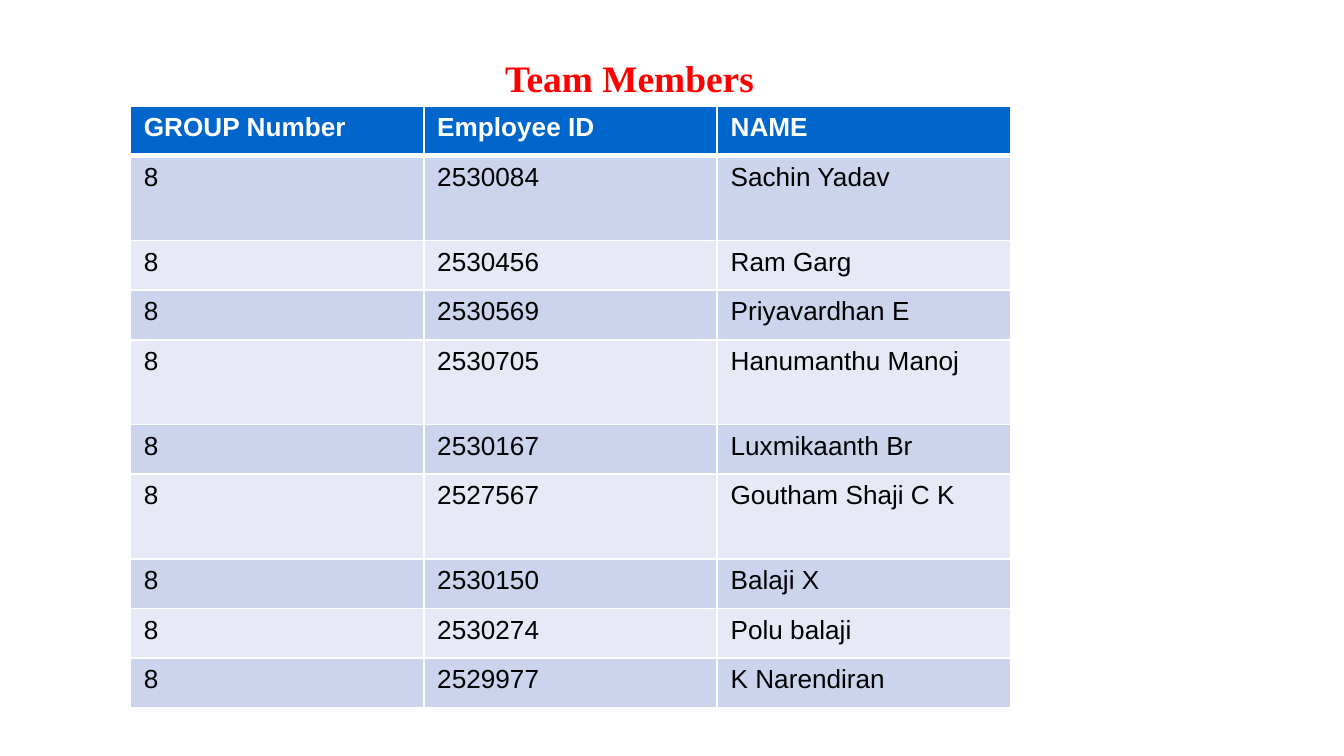
from lxml import etree
from pptx import Presentation
from pptx.dml.color import RGBColor
from pptx.oxml.ns import qn
from pptx.util import Inches, Pt

TITLE = "Team Members"
HEADER = ("GROUP Number", "Employee ID", "NAME")
GROUP = "8"
# Employee ID, name, row is tall
MEMBERS = [
    ("2530084", "Sachin Yadav", True),
    ("2530456", "Ram Garg", False),
    ("2530569", "Priyavardhan E", False),
    ("2530705", "Hanumanthu Manoj", True),
    ("2530167", "Luxmikaanth Br", False),
    ("2527567", "Goutham Shaji C K", True),
    ("2530150", "Balaji X", False),
    ("2530274", "Polu balaji", False),
    ("2529977", "K Narendiran", False),
]
WHITE, BLACK, RED = "FFFFFF", "000000", "FF0000"
HEADER_FILL, BANDS = "0066CC", ("CCD3EC", "E7EAF6")
SLIDE_W = 10
SLIDE_H = SLIDE_W * 9 / 16
LEFT, TOP, WIDTH = 0.97, 0.79, 6.55
ROW, TALL_ROW = 0.37, 0.63


def rgb(color):
    return RGBColor.from_string(color)


def write(tf, text, size=14, font="Arial", color=BLACK, bold=False):
    r = tf.paragraphs[0].add_run()
    r.text = text
    r.font.size, r.font.name, r.font.bold = Pt(size), font, bold
    r.font.color.rgb = rgb(color)


def set_borders(cell, top=1, bottom=1):
    """White cell edges, widths in points; they must precede the fill."""
    tc_pr = cell._tc.get_or_add_tcPr()
    edges = (("L", 1), ("R", 1), ("T", top), ("B", bottom))
    for i, (side, width) in enumerate(edges):
        ln = etree.Element(qn(f"a:ln{side}"), w=str(Pt(width)))
        fill = etree.SubElement(ln, qn("a:solidFill"))
        etree.SubElement(fill, qn("a:srgbClr"), val=WHITE)
        tc_pr.insert(i, ln)


def add_title(s):
    box = s.shapes.add_textbox(Inches(3.66), Inches(0.36), Inches(4.69), Inches(0.44))
    box.text_frame.word_wrap = True
    write(box.text_frame, TITLE, size=20, font="Times New Roman", color=RED, bold=True)


def add_members(s):
    rows = [HEADER] + [(GROUP, number, name) for number, name, _ in MEMBERS]
    heights = [ROW] + [TALL_ROW if tall else ROW for *_, tall in MEMBERS]
    table = s.shapes.add_table(len(rows), len(HEADER), Inches(LEFT), Inches(TOP),
                               Inches(WIDTH), Inches(sum(heights))).table
    for column in table.columns:
        column.width = Inches(WIDTH / len(HEADER))
    for i, (texts, height) in enumerate(zip(rows, heights)):
        table.rows[i].height = Inches(height)
        head = i == 0
        for j, text in enumerate(texts):
            cell = table.cell(i, j)
            cell.fill.solid()
            cell.fill.fore_color.rgb = rgb(HEADER_FILL if head else BANDS[(i - 1) % 2])
            set_borders(cell, top=3 if i == 1 else 1, bottom=3 if head else 1)
            write(cell.text_frame, text, color=WHITE if head else BLACK, bold=head)


def main():
    prs = Presentation()
    prs.slide_width, prs.slide_height = Inches(SLIDE_W), Inches(SLIDE_H)
    s = prs.slides.add_slide(prs.slide_layouts[6])
    add_title(s)
    add_members(s)
    prs.save("out.pptx")


if __name__ == "__main__":
    main()
